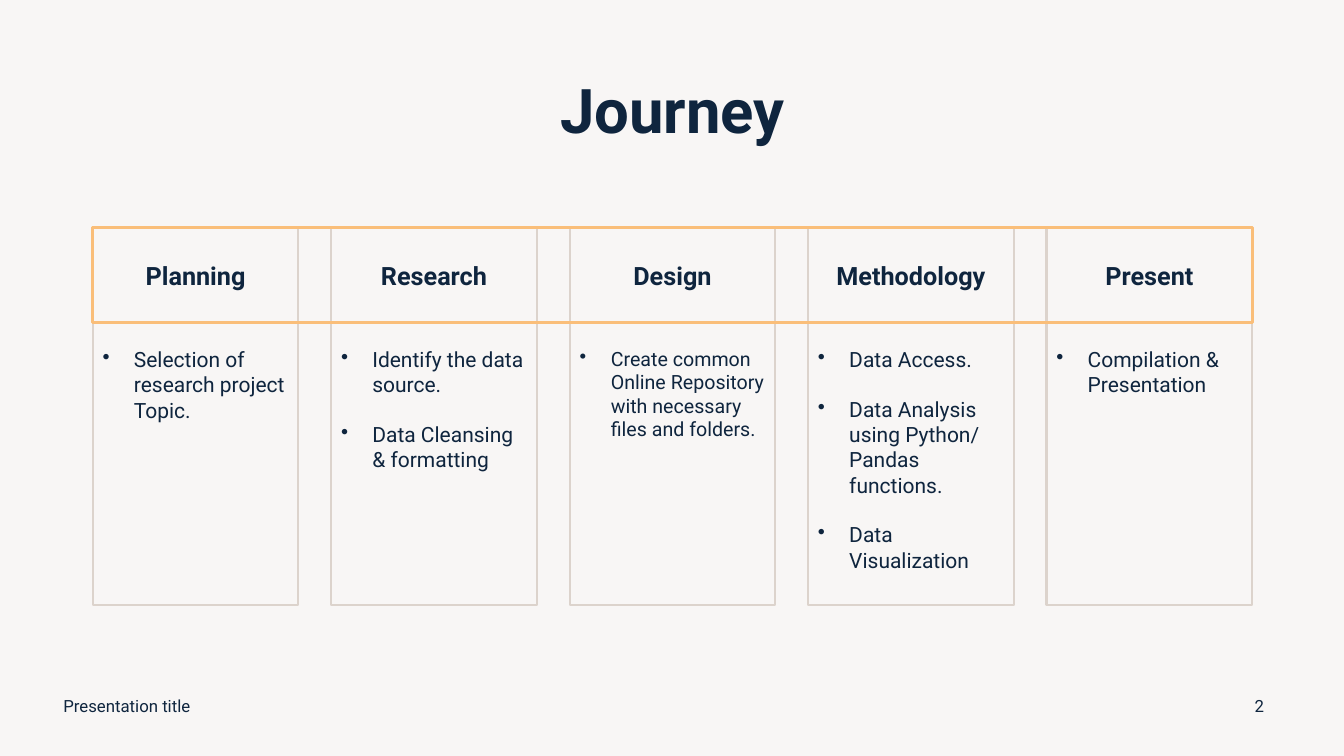
import pptx
import pptx.util
import pptx.dml.color
import pptx.enum.shapes
import pptx.enum.text
import lxml.etree

TITLE = "Journey"
FOOTER = "Presentation title"
PAGE_NUMBER = "2"
STAGES = [
    ("Planning", 15, ["Selection of research project Topic."]),
    ("Research", 15, ["Identify the data source.", "Data Cleansing & formatting"]),
    ("Design", 14, ["Create common Online Repository with necessary files and folders."]),
    ("Methodology", 15, ["Data Access.", "Data Analysis using Python/ Pandas functions.",
                         "Data Visualization"]),
    ("Present", 15, ["Compilation & Presentation"]),
]
COLORS = {"background": "F8F6F5", "text": "0F253E", "border": "DCD3CC", "accent": "FABE79"}
FONT = "Roboto"
WIDTH, HEIGHT = 13.33, 7.5
LEFT, SPAN = 0.92, 11.5
COLUMN = 2.04
STEP = (SPAN - COLUMN) / (len(STAGES) - 1)
HEADER_TOP, HEADER_HEIGHT = 2.26, 0.94
BODY_TOP, BODY_HEIGHT = HEADER_TOP + HEADER_HEIGHT, 2.8
FOOTER_TOP, FOOTER_HEIGHT = 6.8, 0.4
INDENT = 0.31
LINE_HEIGHT = 1.17

ALIGN = pptx.enum.text.PP_ALIGN
ANCHOR = pptx.enum.text.MSO_ANCHOR
inches = pptx.util.Inches


def color(name):
    return pptx.dml.color.RGBColor.from_string(COLORS[name])


def add_bullet(para):
    properties = para._p.get_or_add_pPr()
    properties.set("marL", str(inches(INDENT)))
    properties.set("indent", str(-inches(INDENT)))
    bullet = lxml.etree.SubElement(properties, pptx.oxml.ns.qn("a:buChar"))
    bullet.set("char", "•")


def write(box, lines, size, bold=False, align=ALIGN.LEFT, anchor=ANCHOR.MIDDLE,
          bullets=False, top=0.05, spacing=None):
    frame = box.text_frame
    frame.word_wrap = True
    frame.auto_size = pptx.enum.text.MSO_AUTO_SIZE.NONE
    frame.vertical_anchor = anchor
    frame.margin_left = frame.margin_right = inches(0.1)
    frame.margin_top, frame.margin_bottom = inches(top), inches(0.05)
    for index, line in enumerate(lines):
        para = frame.add_paragraph() if index else frame.paragraphs[0]
        para.alignment = align
        para.line_spacing = spacing
        if index:
            para.space_before = pptx.util.Pt(size * LINE_HEIGHT)
        if bullets:
            add_bullet(para)
        span = para.add_run()
        span.text = line
        span.font.name = FONT
        span.font.size = pptx.util.Pt(size)
        span.font.bold = bold
        span.font.color.rgb = color("text")


def add_frame(page, left, top, width, height, line, weight):
    box = page.shapes.add_shape(pptx.enum.shapes.MSO_SHAPE.RECTANGLE,
                                *map(inches, (left, top, width, height)))
    box.shadow.inherit = False
    box.fill.background()
    box.line.color.rgb = color(line)
    box.line.width = pptx.util.Pt(weight)
    return box


def add_label(page, text, left, width, align):
    box = page.shapes.add_textbox(*map(inches, (left, FOOTER_TOP, width, FOOTER_HEIGHT)))
    write(box, [text], 12, align=align)


def main():
    deck = pptx.Presentation()
    deck.slide_width, deck.slide_height = inches(WIDTH), inches(HEIGHT)
    page = deck.slides.add_slide(deck.slide_layouts[5])
    page.background.fill.solid()
    page.background.fill.fore_color.rgb = color("background")

    title = page.shapes.title
    title.left, title.top, title.width, title.height = map(inches, (LEFT, 0.4, SPAN, 1.45))
    write(title, [TITLE], 44, bold=True, align=ALIGN.CENTER, spacing=0.9)

    for index, (name, size, tasks) in enumerate(STAGES):
        left = LEFT + index * STEP
        header = add_frame(page, left, HEADER_TOP, COLUMN, HEADER_HEIGHT, "border", 1.5)
        write(header, [name], 18, bold=True, align=ALIGN.CENTER)
        body = add_frame(page, left, BODY_TOP, COLUMN, BODY_HEIGHT, "border", 1.5)
        write(body, tasks, size, anchor=ANCHOR.TOP, bullets=True, top=0.24)

    add_frame(page, LEFT, HEADER_TOP, SPAN, HEADER_HEIGHT, "accent", 2.25)
    add_label(page, FOOTER, 0.53, 4.5, ALIGN.LEFT)
    add_label(page, PAGE_NUMBER, 12.24, 0.5, ALIGN.CENTER)
    deck.save("out.pptx")


if __name__ == "__main__":
    main()
